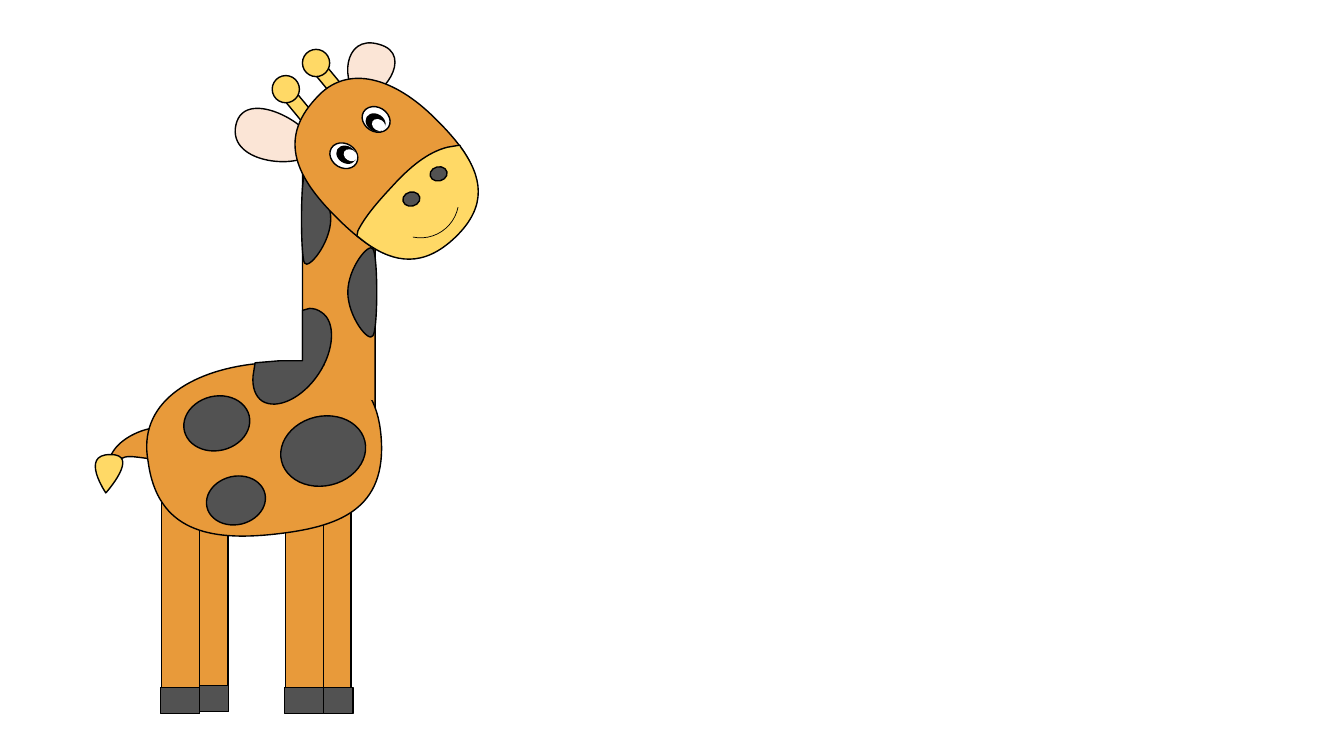
from dataclasses import dataclass

from lxml import etree
from pptx import Presentation
from pptx import util as u
from pptx.dml.color import RGBColor
from pptx.enum import shapes
from pptx.oxml.ns import qn


@dataclass(frozen=True)
class Theme:
    coat: str = "E89A3A"
    patch: str = "525252"
    muzzle: str = "FFD966"
    ear: str = "FBE5D6"
    white: str = "FFFFFF"
    black: str = "000000"
    outline: float = 1
    thin: float = 0.5


THEME = Theme()
KIND = shapes.MSO_SHAPE
CM_PER_UNIT = 2.54
CURVE_STEPS = 24

TAIL = [(1.47, 4.55), (2.07, 4.06, 1.09, 4.22, 1.08, 4.61),
        (1.28, 4.53, 1.18, 4.51, 1.47, 4.55)]
BODY = [(3.78, 4.33), (3.72, 3.6, 3.17, 3.54, 2.53, 3.61),
        (1.89, 3.68, 1.36, 4, 1.47, 4.58), (1.56, 5.27, 2.08, 5.37, 2.72, 5.3),
        (3.36, 5.23, 3.84, 5.06, 3.78, 4.33)]
RIGHT_EAR = [(3.57, 0.95), (3.76, 1.03, 4.13, 0.54, 3.76, 0.44),
             (3.39, 0.33, 3.38, 0.86, 3.57, 0.95)]
LEFT_EAR = [(3.11, 1.49), (3.2, 1.29, 2.43, 0.83, 2.34, 1.24),
            (2.25, 1.64, 3.02, 1.69, 3.11, 1.49)]
TAIL_TUFT = [(1.05, 4.89), (1.05, 4.89, 0.79, 4.51, 1.09, 4.51),
             (1.4, 4.5, 1.05, 4.89, 1.05, 4.89)]
LEFT_NECK_PATCH = [(3.28, 2.17), (3.28, 1.94, 3.06, 1.67, 3.02, 1.74),
                   (2.98, 1.81, 2.98, 2.54, 3.02, 2.61),
                   (3.06, 2.68, 3.28, 2.41, 3.28, 2.17)]
RIGHT_NECK_PATCH = [(3.45, 2.9), (3.45, 2.66, 3.66, 2.4, 3.7, 2.47),
                    (3.75, 2.54, 3.75, 3.26, 3.7, 3.33),
                    (3.66, 3.41, 3.45, 3.14, 3.45, 2.9)]
HEAD = [(4.5, 2.34), (4.94, 1.93, 4.69, 1.54, 4.31, 1.17),
        (3.93, 0.79, 3.45, 0.61, 3.13, 0.98), (2.75, 1.39, 2.95, 1.77, 3.33, 2.15),
        (3.71, 2.53, 4.07, 2.75, 4.5, 2.34)]
MUZZLE = [(4.56, 1.44), (4.44, 1.46), (4.24, 1.51, 4.06, 1.66, 3.88, 1.86),
          (3.74, 2.01, 3.62, 2.15, 3.55, 2.29), (3.54, 2.34), (3.63, 2.41),
          (3.91, 2.61, 4.2, 2.66, 4.52, 2.35), (4.84, 2.04, 4.78, 1.75, 4.57, 1.46)]
NECK_JOIN = [(3.7, 3.97), (3.68, 3.9), (3.64, 3.79, 3.55, 3.68, 3.44, 3.58),
             (3.38, 3.53, 3.32, 3.49, 3.26, 3.46), (3.21, 3.44), (3.22, 3.66),
             (3.22, 3.73, 3.22, 3.8, 3.21, 3.87), (3.21, 3.88)]
SHOULDER_PATCH = [(3.07, 3.06), (3, 3.08), (3, 3.58), (2.99, 3.58),
                  (2.92, 3.58, 2.84, 3.58, 2.77, 3.58), (2.53, 3.6), (2.51, 3.73),
                  (2.5, 3.84, 2.53, 3.93, 2.6, 3.98), (2.75, 4.07, 3, 3.95, 3.16, 3.71),
                  (3.32, 3.47, 3.33, 3.19, 3.19, 3.1), (3.15, 3.07, 3.11, 3.06, 3.07, 3.06)]


def length(value):
    return u.Cm(value * CM_PER_UNIT)


def paint(part, fill, width):
    part.shadow.inherit = False
    if fill:
        part.fill.solid()
        part.fill.fore_color.rgb = RGBColor.from_string(fill)
    else:
        part.fill.background()
    if width:
        part.line.color.rgb = RGBColor.from_string(THEME.black)
        part.line.width = u.Pt(width)
    else:
        part.line.fill.background()


def preset(giraffe, kind, box, fill, turn=0, width=THEME.outline):
    part = giraffe.shapes.add_shape(kind, *map(length, box))
    part.rotation = turn
    paint(part, fill, width)
    return part


def oval(giraffe, box, fill, turn=76.7, width=THEME.outline):
    return preset(giraffe, KIND.OVAL, box, fill, turn, width)


def pairs(step):
    return list(zip(step[::2], step[1::2]))


def bezier(start, first, second, end, t):
    s = 1 - t
    return tuple(s**3 * a + 3 * s * s * t * b + 3 * s * t * t * c + t**3 * d
                 for a, b, c, d in zip(start, first, second, end))


def trace(steps):
    points = [steps[0]]
    for step in steps[1:]:
        if len(step) == 2:
            points.append(step)
        else:
            start = points[-1]
            points += [bezier(start, *pairs(step), i / CURVE_STEPS)
                       for i in range(1, CURVE_STEPS + 1)]
    return [(length(x), length(y)) for x, y in points]


def outline(giraffe, steps, fill, width=THEME.outline):
    start, *rest = trace(steps)
    builder = giraffe.shapes.build_freeform(*start, scale=1.0)
    builder.add_line_segments(rest, close=True)
    part = builder.convert_to_shape()
    geometry = part._element.find(".//" + qn("a:path"))
    for segment in list(geometry):
        geometry.remove(segment)
    for index, step in enumerate(steps):
        tag = "a:moveTo" if index == 0 else "a:lnTo" if len(step) == 2 else "a:cubicBezTo"
        segment = etree.SubElement(geometry, qn(tag))
        for x, y in pairs(step):
            etree.SubElement(segment, qn("a:pt"), x=str(length(x) - part.left),
                             y=str(length(y) - part.top))
    etree.SubElement(geometry, qn("a:close"))
    paint(part, fill, width)


def legs(giraffe):
    leg, hoof = THEME.coat, THEME.patch
    for box, fill in [
        ((1.88, 4.83, 0.38, 2.22), leg), ((1.9, 6.8, 0.37, 0.26), hoof),
        ((1.6, 4.86, 0.38, 2.22), leg), ((1.59, 6.82, 0.39, 0.26), hoof),
        ((3.1, 4.86, 0.38, 2.22), leg), ((2.83, 4.86, 0.38, 2.22), leg),
        ((3.13, 6.82, 0.37, 0.26), hoof), ((2.82, 6.82, 0.39, 0.26), hoof),
    ]:
        preset(giraffe, KIND.RECTANGLE, box, fill)


def horn(giraffe, stem_at, knob_at):
    preset(giraffe, KIND.ROUNDED_RECTANGLE, (*stem_at, 0.14, 0.88), THEME.muzzle, 320.4)
    oval(giraffe, (*knob_at, 0.27, 0.27), THEME.muzzle, 0)


def torso(giraffe):
    preset(giraffe, KIND.ROUNDED_RECTANGLE, (3, 1.29, 0.72, 3.37), THEME.coat)
    outline(giraffe, BODY, THEME.coat)
    for ear in (RIGHT_EAR, LEFT_EAR):
        outline(giraffe, ear, THEME.ear)
    outline(giraffe, TAIL_TUFT, THEME.muzzle)
    outline(giraffe, LEFT_NECK_PATCH, THEME.patch)
    oval(giraffe, (2.86, 4.05, 0.69, 0.85), THEME.patch)


def patches(giraffe):
    outline(giraffe, RIGHT_NECK_PATCH, THEME.patch)
    for box in [(1.88, 3.87, 0.54, 0.66), (2.1, 4.67, 0.48, 0.59)]:
        oval(giraffe, box, THEME.patch)
    outline(giraffe, NECK_JOIN, THEME.coat, 0)
    outline(giraffe, SHOULDER_PATCH, THEME.patch)


def face(giraffe):
    for nostril in [(4.28, 1.64), (4.01, 1.89)]:
        oval(giraffe, (*nostril, 0.14, 0.17), THEME.patch)
    for size, fill, width, places in [
        ((0.24, 0.29), THEME.white, THEME.outline, [(3.61, 1.04), (3.29, 1.4)]),
        ((0.17, 0.21), THEME.black, 0, [(3.35, 1.43), (3.64, 1.11)]),
        ((0.11, 0.14), THEME.white, 0, [(3.7, 1.17), (3.42, 1.47)]),
    ]:
        for place in places:
            oval(giraffe, (*place, *size), fill, 121.6, width)
    preset(giraffe, KIND.ARC, (3.79, 1.6, 0.76, 0.76), None, 101.4, THEME.thin)


def main():
    deck = Presentation()
    deck.slide_width, deck.slide_height = length(13.33), length(7.5)
    slide = deck.slides.add_slide(deck.slide_layouts[6])
    giraffe = slide.shapes.add_group_shape()
    legs(giraffe)
    outline(giraffe, TAIL, THEME.coat)
    horn(giraffe, (3.06, 0.82), (2.7, 0.75))
    torso(giraffe)
    horn(giraffe, (3.37, 0.57), (3, 0.49))
    outline(giraffe, HEAD, THEME.coat)
    outline(giraffe, MUZZLE, THEME.muzzle)
    patches(giraffe)
    face(giraffe)
    deck.save("out.pptx")


if __name__ == "__main__":
    main()
